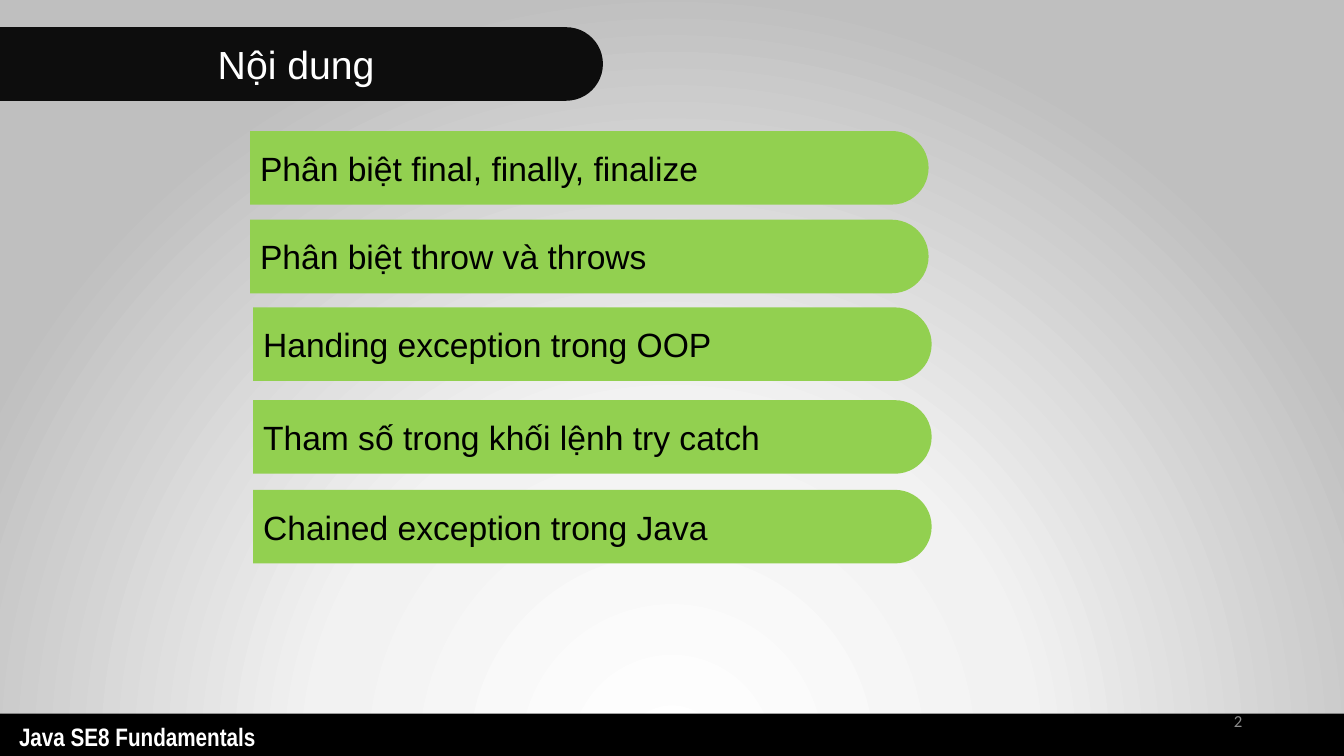
from dataclasses import dataclass

from pptx import Presentation
from pptx.dml.color import RGBColor
from pptx.enum.shapes import MSO_SHAPE as Shape
from pptx.enum.text import MSO_ANCHOR as Anchor, PP_ALIGN as Align
from pptx.oxml import parse_xml
from pptx.oxml.ns import nsdecls
from pptx.util import Inches, Pt


@dataclass(frozen=True)
class Theme:
    heading_fill: str = "0D0D0D"
    topic_fill: str = "92D050"
    footer_fill: str = "000000"
    light: str = "FFFFFF"
    dark: str = "000000"
    muted: str = "8C8C8C"
    backdrop: tuple = ((0, "FFFFFF"), (46, "F2F2F2"), (100, "BFBFBF"))
    font: str = "Arial"
    footer_font: str = "Arial Narrow"
    number_font: str = "Calibri"
    heading_size: int = 28
    topic_size: int = 24
    footer_size: int = 18
    number_size: int = 12


THEME = Theme()
WIDTH, HEIGHT = 13.33, 7.5
BAR_HEIGHT = 0.73
TOPIC_WIDTH = 6.73

# Topic text with the left and top of its bar
TOPICS = [
    ("Phân biệt final, finally, finalize", 2.48, 1.3),
    ("Phân biệt throw và throws", 2.48, 2.18),
    ("Handing exception trong OOP", 2.51, 3.05),
    ("Tham số trong khối lệnh try catch", 2.51, 3.97),
    ("Chained exception trong Java", 2.51, 4.86),
]


def write(frame, text, font, size, color, align=Align.LEFT, bold=False):
    paragraph = frame.paragraphs[0]
    paragraph.text = text
    paragraph.alignment = align
    paragraph.font.name = font
    paragraph.font.size = Pt(size)
    paragraph.font.bold = bold
    paragraph.font.color.rgb = RGBColor.from_string(color)


def add_solid(shapes, preset, box, color):
    solid = shapes.add_shape(preset, *map(Inches, box))
    solid.shadow.inherit = False
    solid.fill.solid()
    solid.fill.fore_color.rgb = RGBColor.from_string(color)
    solid.line.fill.background()
    return solid


def add_bar(slide, box, text, fill, size, color, align=Align.LEFT):
    """Bar with a round right end: a quarter-turned shape with upright text."""
    left, top, width, height = box
    shift = (width - height) / 2
    bar = add_solid(slide.shapes, Shape.ROUND_2_SAME_RECTANGLE,
                    (left + shift, top - shift, height, width), fill)
    bar.rotation = 90
    bar.adjustments[0] = 0.5
    bar.adjustments[1] = 0
    frame = bar.text_frame
    frame.vertical_anchor = Anchor.MIDDLE
    frame._txBody.bodyPr.set("vert", "vert270")
    write(frame, text, THEME.font, size, color, align)


def paint_background(slide):
    slide.background.fill.solid()
    properties = slide.background._cSld.bg.bgPr
    stops = "".join(
        f'<a:gs pos="{share * 1000}"><a:srgbClr val="{color}"/></a:gs>'
        for share, color in THEME.backdrop)
    gradient = parse_xml(
        f'<a:gradFill {nsdecls("a")} rotWithShape="1"><a:gsLst>{stops}</a:gsLst>'
        '<a:path path="circle"><a:fillToRect l="50000" t="130000" r="50000"'
        ' b="-30000"/></a:path></a:gradFill>')
    properties.replace(properties[0], gradient)


def add_footer(slide, box):
    left, top, width, height = box
    footer = slide.shapes.add_group_shape()
    add_solid(footer.shapes, Shape.RECTANGLE, box, THEME.footer_fill)
    course = footer.shapes.add_textbox(
        *map(Inches, (left + 0.09, top + 0.03, 3.28, 0.4)))
    course.text_frame.word_wrap = True
    write(course.text_frame, "Java SE8 Fundamentals", THEME.footer_font,
          THEME.footer_size, THEME.light, bold=True)


def add_page_number(slide, box, number):
    page = slide.shapes.add_textbox(*map(Inches, box))
    page.text_frame.word_wrap = True
    page.text_frame.vertical_anchor = Anchor.MIDDLE
    write(page.text_frame, number, THEME.number_font, THEME.number_size,
          THEME.muted, Align.RIGHT)


def build_contents(slide):
    paint_background(slide)
    add_footer(slide, (0, 7.08, WIDTH, 0.46))
    # Heading
    add_bar(slide, (0, 0.27, 5.98, BAR_HEIGHT), "Nội dung", THEME.heading_fill,
            THEME.heading_size, THEME.light, Align.CENTER)
    # Topics
    for topic, left, top in TOPICS:
        add_bar(slide, (left, top, TOPIC_WIDTH, BAR_HEIGHT), topic,
                THEME.topic_fill, THEME.topic_size, THEME.dark)
    add_page_number(slide, (9.42, 6.95, 3, 0.4), "2")


def main():
    deck = Presentation()
    deck.slide_width, deck.slide_height = Inches(WIDTH), Inches(HEIGHT)
    build_contents(deck.slides.add_slide(deck.slide_layouts[6]))
    deck.save("out.pptx")


if __name__ == "__main__":
    main()
